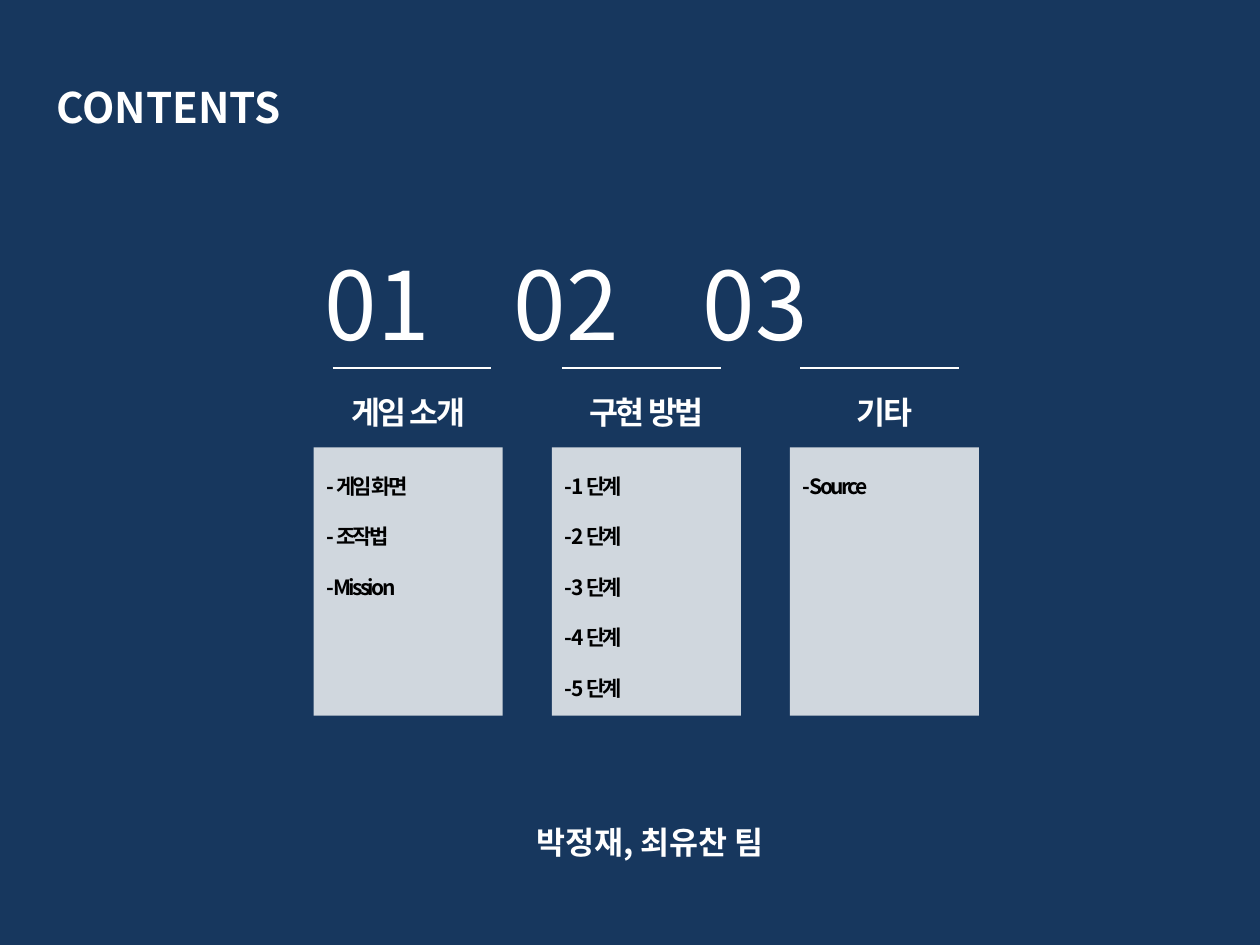
from pptx import Presentation, util as u
from pptx.dml.color import RGBColor
from pptx.enum import shapes, text
from pptx.oxml.ns import qn
from lxml import etree

NAVY = RGBColor(0x17, 0x37, 0x5E)
WHITE = RGBColor(0xFF, 0xFF, 0xFF)
BLACK = RGBColor(0, 0, 0)
NOTO = "Noto Sans CJK KR"
CENTER = text.PP_ALIGN.CENTER

TITLE = dict(size=u.Pt(24), name=NOTO, bold=True)
NUMBER = dict(size=u.Pt(54), name=NOTO)
HEADING = dict(size=u.Pt(18), name="Arial", bold=True)
ITEM = dict(size=u.Pt(12), name=NOTO, bold=True)
TEAM = dict(size=u.Pt(18), name=NOTO, bold=True)

COLUMN_WIDTH, COLUMN_PITCH = 1.5, 1.89
NUMBER_PITCH = 1.5

# heading, items, left edge of the rule within its column
SECTIONS = [
    ("게임 소개", ["- 게임 화면", "- 조작법", "- Mission"], 0.15),
    ("구현 방법", [f"- {step} 단계" for step in range(1, 6)], 0.08),
    ("기타", ["- Source"], 0.08),
]


def add_text(slide, box, lines, style, color=WHITE, align=None, tracking=None, gap=0):
    """Place one paragraph per line in the given box and return its frame."""
    frame = slide.shapes.add_textbox(*map(u.Inches, box)).text_frame
    frame.word_wrap = True
    for index, line in enumerate(lines):
        paragraph = frame.paragraphs[0] if index == 0 else frame.add_paragraph()
        paragraph.alignment = align
        if index:
            paragraph.space_before = u.Pt(gap)
        paragraph.text = line
        for run in paragraph.runs:
            for attribute, value in style.items():
                setattr(run.font, attribute, value)
            run.font.color.rgb = color
            properties = run.font._element
            etree.SubElement(properties, qn("a:ea"), typeface=style["name"])
            if tracking is not None:
                properties.set("spc", str(int(tracking * 100)))
    return frame


def add_numbers(slide, box):
    """The section numbers, spread over equal tab stops."""
    numbers = [f"{n:02d}" for n in range(1, len(SECTIONS) + 1)]
    frame = add_text(slide, box, ["\t".join(numbers)], NUMBER)
    properties = frame.paragraphs[0]._p.get_or_add_pPr()
    stops = etree.SubElement(properties, qn("a:tabLst"))
    for n in range(1, len(numbers)):
        etree.SubElement(stops, qn("a:tab"), pos=str(u.Inches(n * NUMBER_PITCH)), algn="l")


def add_section(slide, box, heading, items, rule_offset):
    left, top, width, height = box

    # Rule
    rule_left = u.Inches(left + rule_offset)
    rule = slide.shapes.add_connector(
        shapes.MSO_CONNECTOR.STRAIGHT, rule_left, u.Inches(top),
        rule_left + u.Inches(1.26), u.Inches(top))
    rule.line.color.rgb = WHITE
    rule.line.width = u.Pt(0.75)
    etree.SubElement(rule._element.spPr, qn("a:effectLst"))

    # Translucent panel
    panel = slide.shapes.add_shape(
        shapes.MSO_SHAPE.RECTANGLE,
        *map(u.Inches, (left, top + 0.63, width, height - 0.63)))
    panel.shadow.inherit = False
    panel.line.fill.background()
    panel.fill.solid()
    panel.fill.fore_color.rgb = WHITE
    fill_color = panel._element.spPr.find(qn("a:solidFill"))[0]
    etree.SubElement(fill_color, qn("a:alpha"), val="80000")

    # Heading and items
    add_text(slide, (left, top + 0.15, width, 0.4), [heading], HEADING,
             align=CENTER, tracking=-1.5)
    add_text(slide, (left, top + 0.79, width, 0.4 * len(items) - 0.1), items, ITEM,
             color=BLACK, tracking=-1.5, gap=14.4)


def build_contents(slide):
    slide.background.fill.solid()
    slide.background.fill.fore_color.rgb = NAVY
    add_text(slide, (0.35, 0.6, 4.57, 0.5), ["CONTENTS"], TITLE)
    add_numbers(slide, (2.48, 1.9, 5.29, 1.01))
    for index, section in enumerate(SECTIONS):
        column = (2.49 + index * COLUMN_PITCH, 2.92, COLUMN_WIDTH, 2.76)
        add_section(slide, column, *section)
    add_text(slide, (3.19, 6.48, 3.94, 0.4), ["박정재, 최유찬 팀"], TEAM, align=CENTER)


def main():
    deck = Presentation()
    deck.slide_width, deck.slide_height = u.Inches(10), u.Inches(7.5)
    build_contents(deck.slides.add_slide(deck.slide_layouts[6]))
    deck.save("out.pptx")


if __name__ == "__main__":
    main()
